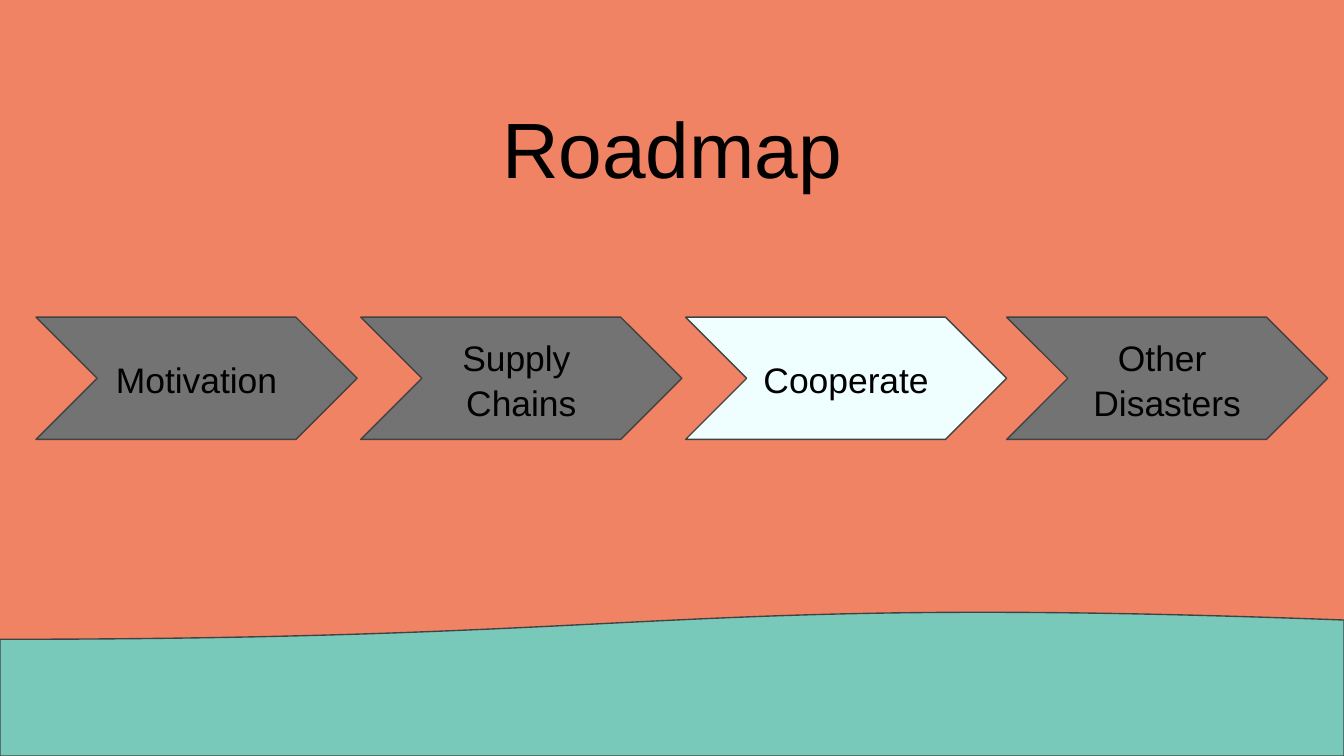
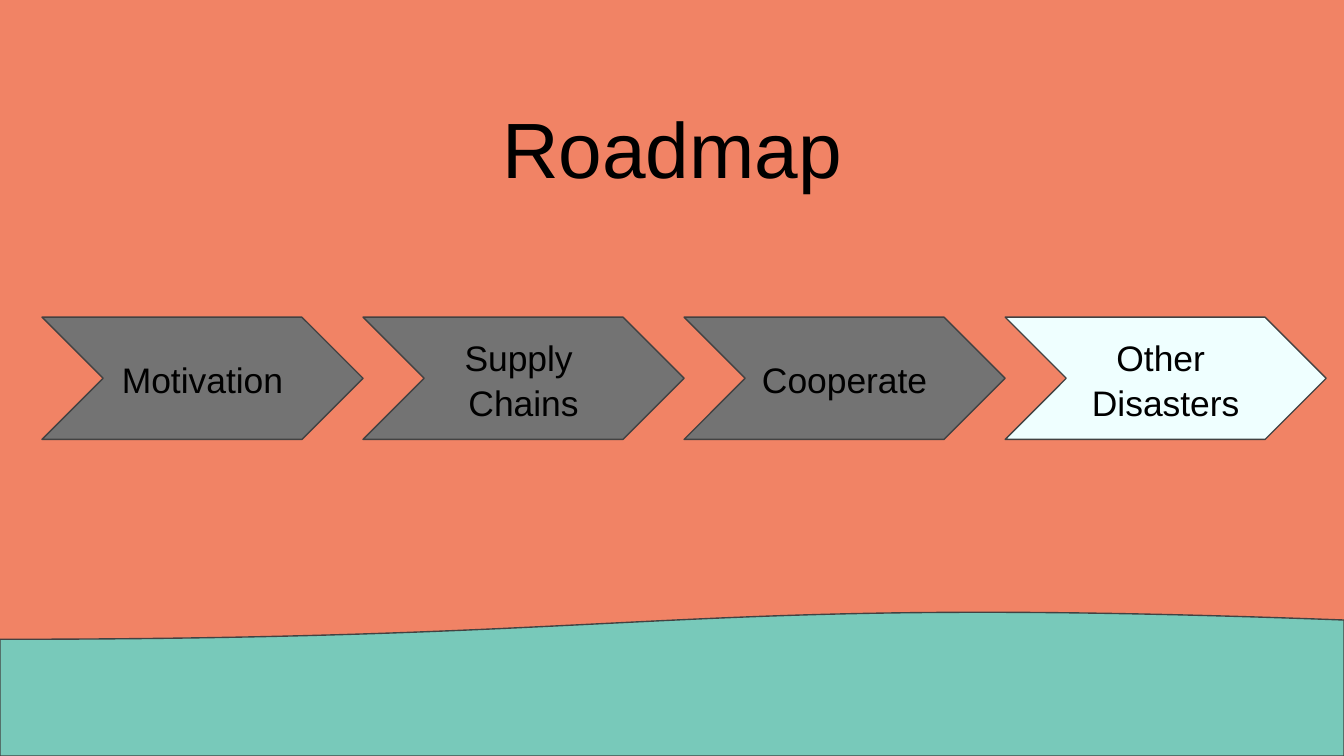
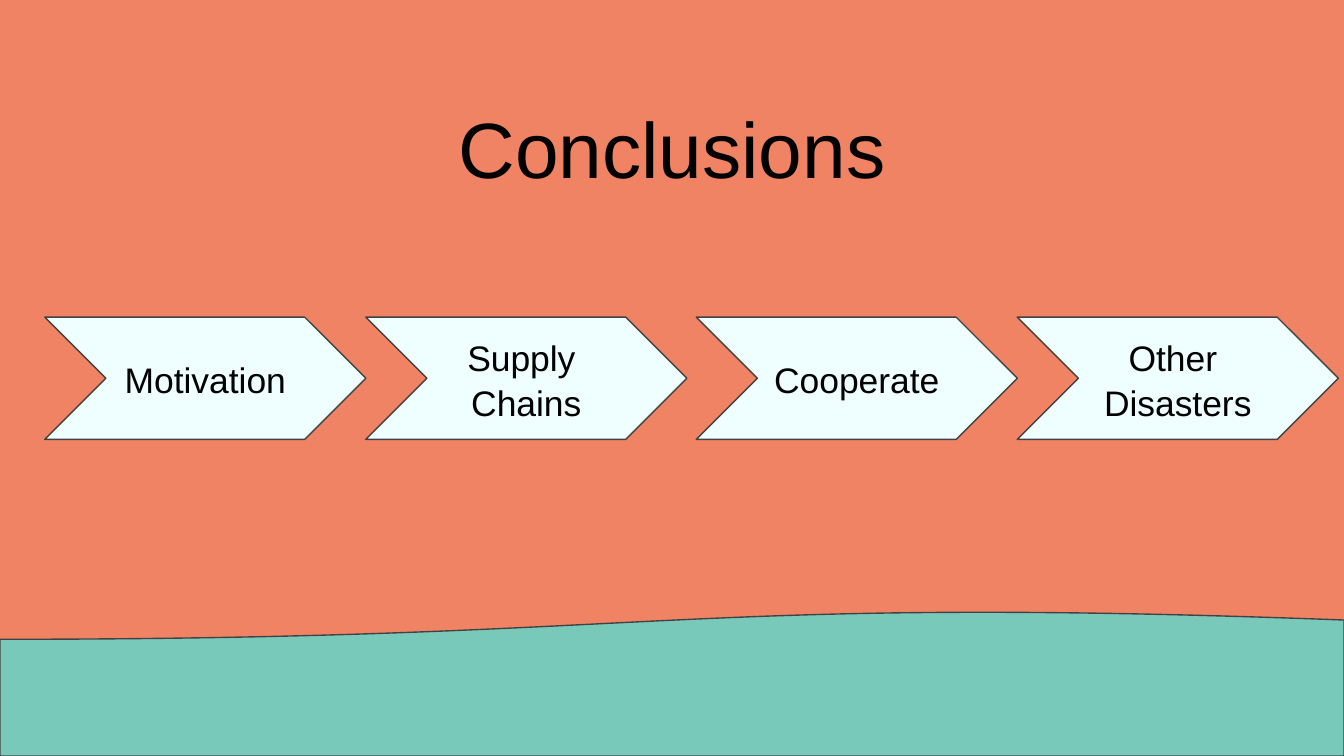
from pptx import Presentation
from pptx.dml.color import RGBColor
from pptx.enum.shapes import MSO_SHAPE
from pptx.enum.text import MSO_ANCHOR, MSO_AUTO_SIZE, PP_ALIGN
from pptx.util import Pt

CHEVRON = MSO_SHAPE.CHEVRON
WAVE = MSO_SHAPE.FLOWCHART_DOCUMENT
TOP, MIDDLE = MSO_ANCHOR.TOP, MSO_ANCHOR.MIDDLE
GROW = MSO_AUTO_SIZE.SHAPE_TO_FIT_TEXT
CENTER = PP_ALIGN.CENTER

CORAL, TEAL = "F18365", "78C9BA"
GREY, ICE = "737373", "EFFFFF"
OUTLINE, BLACK = "424242", "000000"
FONT = "Arial"
LINE_SPACING = 1.06
PAGE_WIDTH, PAGE_HEIGHT = 720, 405
WAVE_HEIGHT = 78
TITLE_TOP, TITLE_HEIGHT = 43.2, 65.5
STEP_TOP, STEP_WIDTH, STEP_HEIGHT = 169.9, 172, 65.5
STEPS = ["Motivation", "Supply \nChains", "Cooperate", "Other \nDisasters"]

PAGES = [
    {"title": "Roadmap", "title_width": 220.3, "left": 19.3,
     "gaps": [2, 2, 0], "active": ["Cooperate"]},
    {"title": "Roadmap", "title_width": 220.3, "left": 22.5,
     "gaps": [0, 0, 0], "active": ["Other \nDisasters"]},
    {"title": "Conclusions", "title_width": 253.4, "left": 24,
     "gaps": [0, 5, 0], "active": STEPS},
]


def paint(color_format, color):
    color_format.rgb = RGBColor.from_string(color)


def fill_solid(fill, color):
    fill.solid()
    paint(fill.fore_color, color)


def write_text(box, text, size, anchor):
    frame = box.text_frame
    frame.text = text
    frame.word_wrap = True
    frame.vertical_anchor = anchor
    frame.margin_left = frame.margin_right = Pt(7.2)
    frame.margin_top = frame.margin_bottom = Pt(7.2)
    for para in frame.paragraphs:
        para.alignment = CENTER
        para.line_spacing = LINE_SPACING
        for span in para.runs:
            span.font.name = FONT
            span.font.size = Pt(size)
            paint(span.font.color, BLACK)


def add_outlined_shape(page, kind, left, top, width, height, color):
    shape = page.shapes.add_shape(kind, Pt(left), Pt(top), Pt(width), Pt(height))
    shape.shadow.inherit = False
    fill_solid(shape.fill, color)
    paint(shape.line.color, OUTLINE)
    shape.line.width = Pt(0.75)
    return shape


def add_wave(page):
    wave = add_outlined_shape(page, WAVE, 0, PAGE_HEIGHT - WAVE_HEIGHT,
                              PAGE_WIDTH, WAVE_HEIGHT, TEAL)
    wave.rotation = 180


def set_title(page, text, width):
    title = page.shapes.title
    title.left, title.top = Pt((PAGE_WIDTH - width) / 2), Pt(TITLE_TOP)
    title.width, title.height = Pt(width), Pt(TITLE_HEIGHT)
    write_text(title, text, 42, TOP)
    title.text_frame.auto_size = GROW


def add_steps(page, left, gaps, active):
    for step, gap in zip(STEPS, gaps + [0]):
        color = ICE if step in active else GREY
        chevron = add_outlined_shape(page, CHEVRON, left, STEP_TOP,
                                     STEP_WIDTH, STEP_HEIGHT, color)
        write_text(chevron, step, 19, MIDDLE)
        left += STEP_WIDTH + gap


def main():
    deck = Presentation()
    deck.slide_width, deck.slide_height = Pt(PAGE_WIDTH), Pt(PAGE_HEIGHT)
    fill_solid(deck.slide_master.background.fill, CORAL)
    title_only = deck.slide_layouts[5]
    for content in PAGES:
        page = deck.slides.add_slide(title_only)
        add_wave(page)
        set_title(page, content["title"], content["title_width"])
        add_steps(page, content["left"], content["gaps"], content["active"])
    deck.save("out.pptx")


if __name__ == "__main__":
    main()
